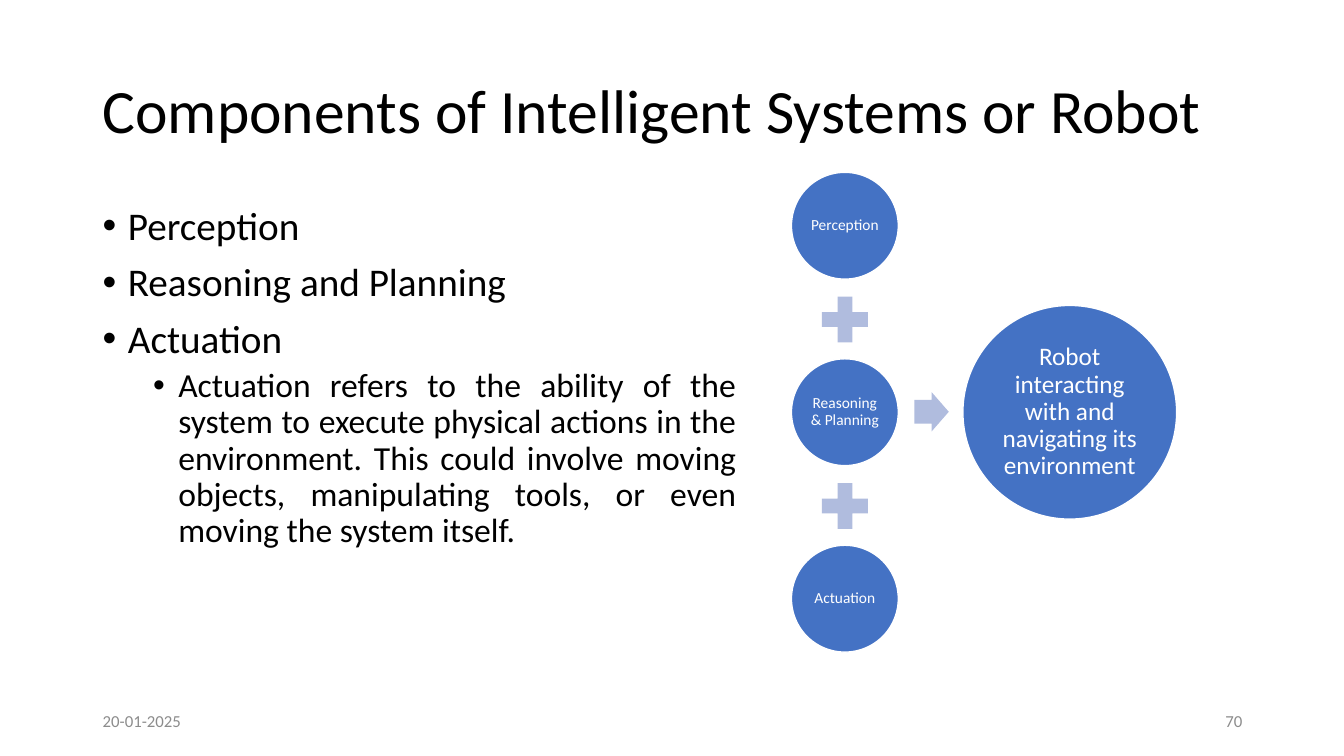
from dataclasses import dataclass

from lxml import etree
from pptx import Presentation
from pptx import util as u
from pptx.dml.color import RGBColor
from pptx.enum import shapes, text
from pptx.oxml import ns

PX = 9144
FONT = "Calibri"
COLOURS = {"ink": "000000", "muted": "8C8C8C", "node": "4472C4",
           "sign": "B0BCDE", "white": "FFFFFF"}
ALIGN = text.PP_ALIGN
ANCHOR = text.MSO_ANCHOR
PRESET = shapes.MSO_SHAPE


@dataclass(frozen=True)
class Box:
    left: int
    top: int
    width: int
    height: int

    def emu(self) -> list[int]:
        return [v * PX for v in (self.left, self.top, self.width, self.height)]


@dataclass(frozen=True)
class Line:
    words: str
    size: int
    colour: str = "ink"
    align: ALIGN = ALIGN.LEFT
    spacing: float = 0.9
    before: int = 0
    indent: int = 0


@dataclass(frozen=True)
class Label:
    box: Box
    lines: tuple[Line, ...]
    anchor: ANCHOR = ANCHOR.MIDDLE


@dataclass(frozen=True)
class Node:
    words: str
    box: Box
    size: int
    inset: int


@dataclass(frozen=True)
class Sign:
    preset: PRESET
    box: Box
    adjustments: tuple[float, ...] = ()


def apply(target, values: dict) -> None:
    for name, value in values.items():
        setattr(target, name, value)


def rgb(name: str) -> RGBColor:
    return RGBColor.from_string(COLOURS[name])


def add_bullet(paragraph, indent: int) -> None:
    properties = paragraph._p.get_or_add_pPr()
    properties.set("marL", str(indent * PX))
    properties.set("indent", str(-25 * PX))
    etree.SubElement(properties, ns.qn("a:buFont"), typeface="Arial")
    etree.SubElement(properties, ns.qn("a:buChar"), char="•")


def write(frame, lines: tuple[Line, ...]) -> None:
    for index, line in enumerate(lines):
        paragraph = frame.add_paragraph() if index else frame.paragraphs[0]
        if line.indent:
            add_bullet(paragraph, line.indent)
        apply(paragraph, {"alignment": line.align, "line_spacing": line.spacing,
                          "space_before": u.Pt(line.before)})
        run = paragraph.add_run()
        run.text = line.words
        apply(run.font, {"name": FONT, "size": u.Pt(line.size)})
        run.font.color.rgb = rgb(line.colour)


def add_label(slide, label: Label) -> None:
    frame = slide.shapes.add_textbox(*label.box.emu()).text_frame
    apply(frame, {"word_wrap": True, "vertical_anchor": label.anchor})
    write(frame, label.lines)


def add_preset(slide, preset: PRESET, box: Box, fill: str):
    shape = slide.shapes.add_shape(preset, *box.emu())
    shape.shadow.inherit = False
    shape.fill.solid()
    shape.fill.fore_color.rgb = rgb(fill)
    shape.line.fill.background()
    return shape


def add_node(slide, node: Node) -> None:
    shape = add_preset(slide, PRESET.OVAL, node.box, "node")
    shape.line.color.rgb = rgb("white")
    shape.line.width = u.Pt(1)
    frame = shape.text_frame
    apply(frame, {"word_wrap": True, "vertical_anchor": ANCHOR.MIDDLE})
    apply(frame, {f"margin_{side}": node.inset * PX
                  for side in ("left", "top", "right", "bottom")})
    write(frame, (Line(node.words, node.size, "white", ALIGN.CENTER),))


def add_sign(slide, sign: Sign) -> None:
    shape = add_preset(slide, sign.preset, sign.box, "sign")
    for index, value in enumerate(sign.adjustments):
        shape.adjustments[index] = value


def bullet(words: str, size: int = 28, before: int = 10, indent: int = 25) -> Line:
    return Line(words, size, align=ALIGN.JUSTIFY, before=before, indent=indent)


LABELS = (
    Label(Box(92, 40, 1150, 145),
          (Line("Components of Intelligent Systems or Robot", 44),)),
    Label(Box(92, 200, 648, 476), (
        bullet("Perception", before=0),
        bullet("Reasoning and Planning"),
        bullet("Actuation"),
        bullet("Actuation refers to the ability of the system to execute physical "
               "actions in the environment. This could involve moving objects, "
               "manipulating tools, or even moving the system itself.", 24, 5, 75),
    ), ANCHOR.TOP),
    Label(Box(92, 695, 300, 40), (Line("20-01-2025", 12, "muted", spacing=1.0),)),
    Label(Box(942, 695, 300, 40),
          (Line("70", 12, "muted", ALIGN.RIGHT, 1.0),)),
)

STEP_TOP, STEP_PITCH = 171, 185
STEPS = ("Perception", "Reasoning & Planning", "Actuation")
NODES = (
    *(Node(words, Box(785, STEP_TOP + i * STEP_PITCH, 106, 106), 11, 2)
      for i, words in enumerate(STEPS)),
    Node("Robot interacting with and navigating its environment",
         Box(955, 303, 212, 212), 18, 3),
)
SIGNS = (
    *(Sign(PRESET.MATH_PLUS, Box(807, STEP_TOP + 115 + i * STEP_PITCH, 62, 62))
      for i in range(len(STEPS) - 1)),
    Sign(PRESET.RIGHT_ARROW, Box(907, 389, 34, 39), (0.6, 0.5)),
)


def main() -> None:
    presentation = Presentation()
    apply(presentation, {"slide_width": 1333 * PX, "slide_height": 750 * PX})
    slide = presentation.slides.add_slide(presentation.slide_layouts[6])
    for label in LABELS:
        add_label(slide, label)
    for node in NODES:
        add_node(slide, node)
    for sign in SIGNS:
        add_sign(slide, sign)
    presentation.save("out.pptx")


if __name__ == "__main__":
    main()
